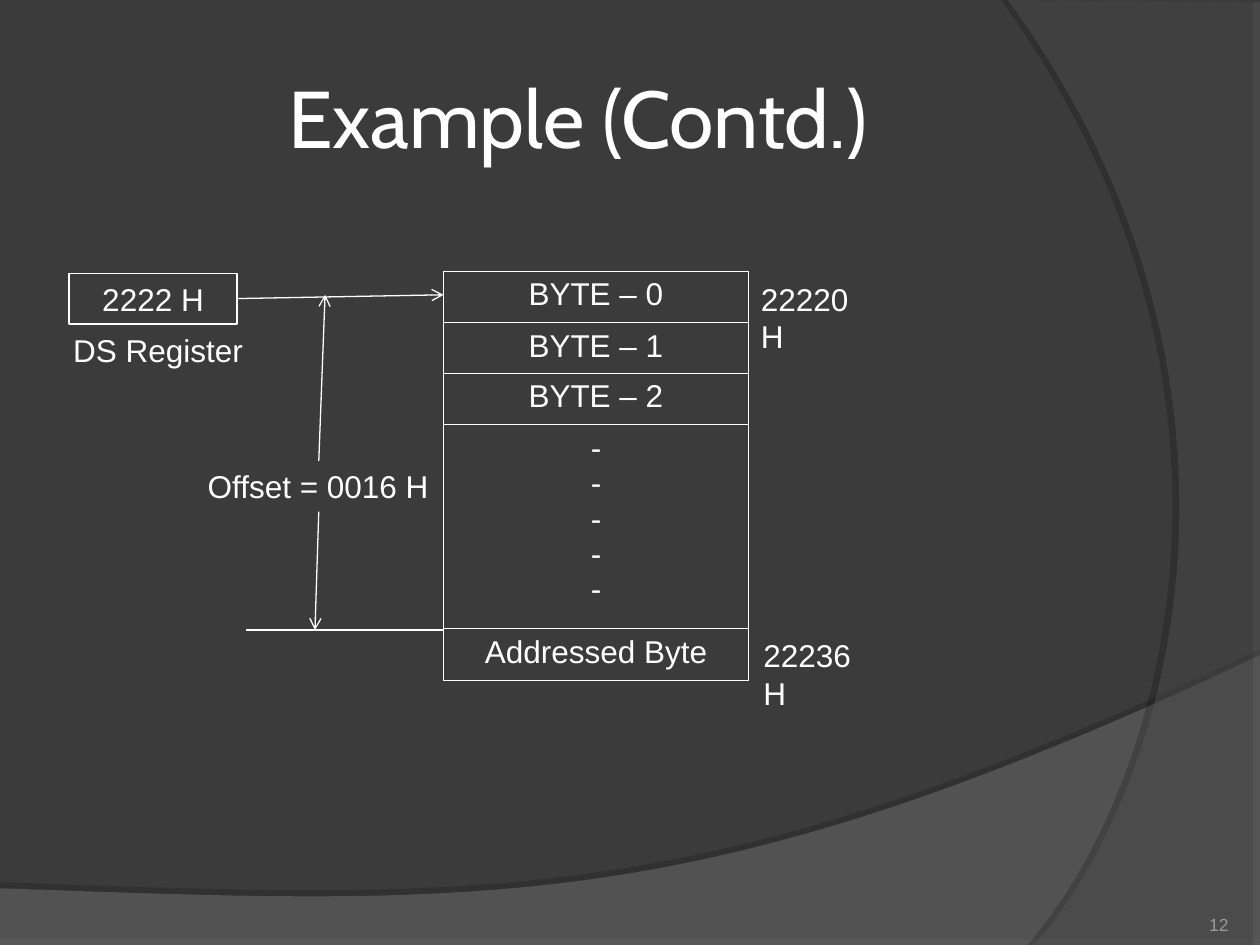
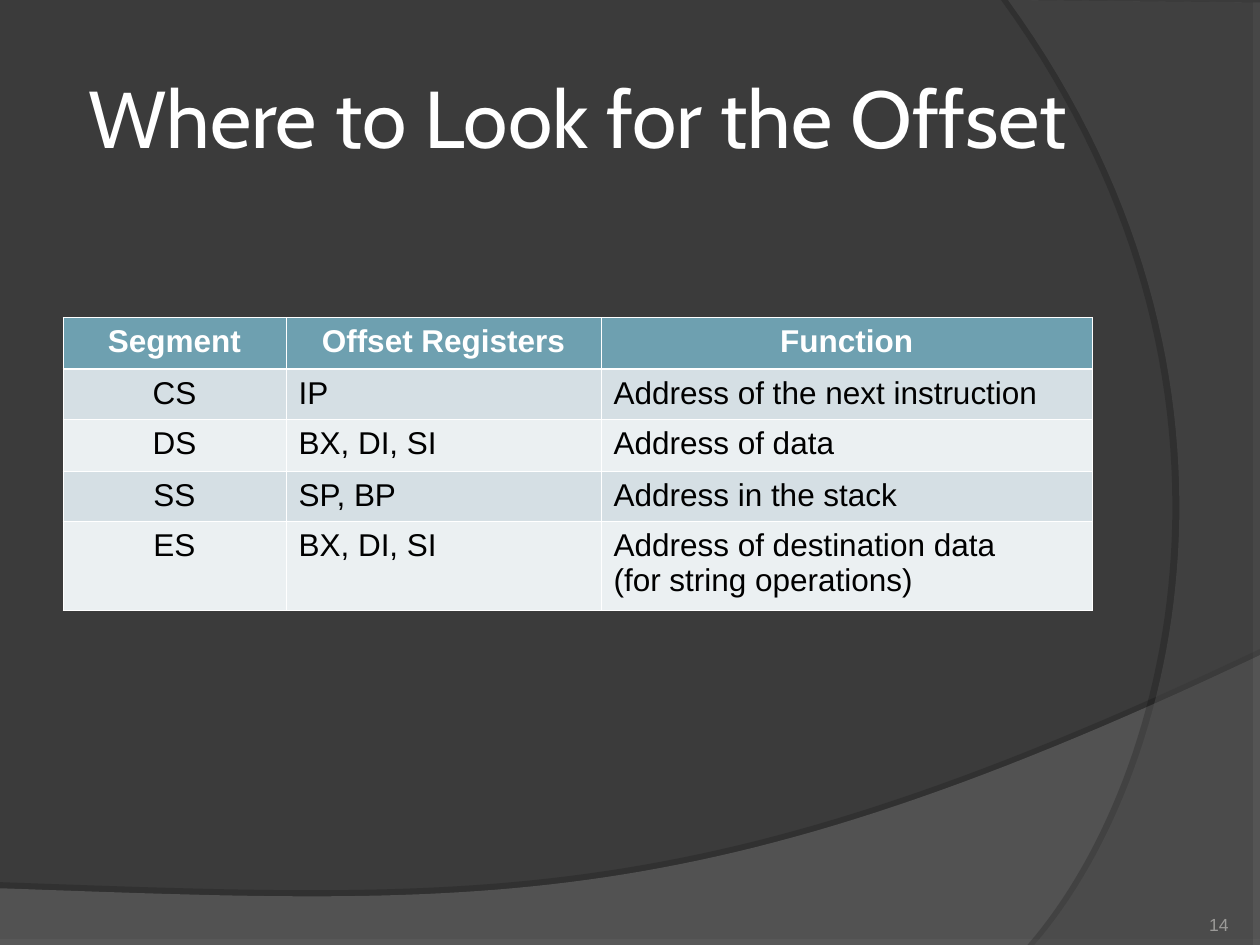
from lxml.etree import SubElement as Sub
from pptx import Presentation
from pptx.dml.color import RGBColor as Rgb
from pptx.enum.shapes import MSO_CONNECTOR as Link, MSO_SHAPE as Kind
from pptx.enum.text import MSO_ANCHOR as Anchor, PP_ALIGN as Align
from pptx.oxml import parse_xml
from pptx.oxml.ns import nsdecls, qn
from pptx.util import Inches, Pt

HUES = {
    "back": "3B3B3B", "wave": "7C7C7C", "arc": "595959", "shade": "000000",
    "white": "FFFFFF", "black": "000000", "page": "9B9A98",
    "head": "6EA0B0", "odd": "D5DFE4", "even": "EBF0F2",
}


def hue(name):
    """Return the named colour."""
    return Rgb.from_string(HUES[name])


def write(frame, text, size=18, font="Arial", color="white", bold=False,
          align=Align.LEFT, anchor=Anchor.TOP, pad=(0.1, 0.05), wrap=True):
    """Fill a text frame, one paragraph for each line of text."""
    frame.word_wrap = wrap
    frame.vertical_anchor = anchor
    frame.margin_left = frame.margin_right = Inches(pad[0])
    frame.margin_top = frame.margin_bottom = Inches(pad[1])
    for i, line in enumerate(text.split("\n")):
        para = frame.add_paragraph() if i else frame.paragraphs[0]
        para.alignment = align
        run = para.add_run()
        run.text = line
        run.font.size, run.font.name, run.font.bold = Pt(size), font, bold
        run.font.color.rgb = hue(color)


def label(slide, text, box, **look):
    """Add a text box and return it."""
    shape = slide.shapes.add_textbox(*map(Inches, box))
    write(shape.text_frame, text, **look)
    return shape


def curve(start, ctrl1, ctrl2, end, steps=60):
    """List the points of a cubic curve."""
    points = []
    for i in range(steps + 1):
        t = i / steps
        parts = ((1 - t) ** 3, 3 * t * (1 - t) ** 2, 3 * t * t * (1 - t), t ** 3)
        points.append(tuple(
            sum(k * p[axis] for k, p in zip(parts, (start, ctrl1, ctrl2, end)))
            for axis in (0, 1)))
    return points


def swoosh(slide, points, color, alpha, shade, dist, angle):
    """Draw a see-through outline that casts a hard shadow."""
    spots = [(Inches(x), Inches(y)) for x, y in points]
    pen = slide.shapes.build_freeform(*spots[0], scale=1.0)
    pen.add_line_segments(spots[1:], close=True)
    shape = pen.convert_to_shape()
    shape.fill.solid()
    shape.fill.fore_color.rgb = hue(color)
    shape.line.fill.background()
    shape.shadow.inherit = False
    props = shape.element.spPr
    tint = props.find(qn("a:solidFill")).find(qn("a:srgbClr"))
    Sub(tint, qn("a:alpha"), val=str(alpha * 1000))
    cast = Sub(props.find(qn("a:effectLst")), qn("a:outerShdw"), blurRad="0",
               dist=str(Pt(dist)), dir=str(angle * 60000), algn="ctr", rotWithShape="0")
    tint = Sub(cast, qn("a:srgbClr"), val=HUES["shade"])
    Sub(tint, qn("a:alpha"), val=str(shade * 1000))


def scene(slide, box):
    """Paint the background and its two curved bands."""
    x, y, w, h = box
    right, low = x + w, y + h
    slide.background.fill.solid()
    slide.background.fill.fore_color.rgb = hue("back")
    wave = curve((right, y + 5.2), (x + 5.59, y + 7.29), (x + 3.91, y + 7.19), (x, y + 7.05))
    swoosh(slide, [(x, low), (right, low)] + wave, "wave", 45, 35, 3.5, 270)
    arc = curve((x + 8.21, low), (x + 9.35, y + 6.19), (x + 10.18, y + 3), (x + 8, y))
    swoosh(slide, [(right, y + 0.02), (right, low)] + arc, "arc", 40, 45, 4, 180)


def start(deck, title, page):
    """Add a slide with its scene, title and page number."""
    slide = deck.slides.add_slide(deck.slide_layouts[6])
    scene(slide, (0, 0, 10, 7.5))
    label(slide, title, (0.5, 0.3, 8.17, 1.25), size=46, font="Cabin",
          align=Align.CENTER, anchor=Anchor.MIDDLE, pad=(0.05, 0.05))
    label(slide, page, (8.92, 7.02, 0.83, 0.4), size=10, color="page",
          align=Align.RIGHT, anchor=Anchor.BOTTOM, pad=(0, 0))
    return slide


def edge(cell, top=0.45, low=0.45):
    """Draw white borders round a cell."""
    props = cell._tc.get_or_add_tcPr()
    for i, (side, width) in enumerate((("L", 0.45), ("R", 0.45), ("T", top), ("B", low))):
        props.insert(i, parse_xml(
            f'<a:ln{side} {nsdecls("a")} w="{Pt(width)}"><a:solidFill>'
            f'<a:srgbClr val="{HUES["white"]}"/></a:solidFill></a:ln{side}>'))


def grid(slide, spot, cols, rows, data, head=False):
    """Add a table, either clear or with a header and banded rows."""
    box = (*spot, sum(cols), sum(rows))
    table = slide.shapes.add_table(len(rows), len(cols), *map(Inches, box)).table
    table.first_row = head
    table.horz_banding = False
    for col, width in zip(table.columns, cols):
        col.width = Inches(width)
    for r, (row, tall) in enumerate(zip(table.rows, rows)):
        row.height = Inches(tall)
        top = head and r == 0
        for c, cell in enumerate(row.cells):
            write(cell.text_frame, data[r][c], bold=top,
                  color="black" if head and r else "white",
                  align=Align.CENTER if top or c == 0 else Align.LEFT)
            if head:
                cell.fill.solid()
                cell.fill.fore_color.rgb = hue("head" if top else "odd" if r % 2 else "even")
            else:
                cell.fill.background()
            edge(cell, 1.47 if head and r == 1 else 0.45, 1.47 if top else 0.45)


def link(slide, tail, tip, arrow=True):
    """Draw a thin white line, with an arrowhead if wanted."""
    line = slide.shapes.add_connector(Link.STRAIGHT, *map(Inches, tail + tip))
    line.line.color.rgb = hue("white")
    line.line.width = Pt(0.75)
    props = line._element.spPr
    if arrow:
        Sub(props.find(qn("a:ln")), qn("a:tailEnd"), type="arrow")
    Sub(props, qn("a:effectLst"))
    return line


def memory(slide, box):
    """Draw the memory map with its register, offset and addresses."""
    x, y, w, h = box
    right = x + w
    base = y + h - 0.39
    cells = ["BYTE – 0", "BYTE – 1", "BYTE – 2", "\n".join("-" * 5), "Addressed Byte"]
    grid(slide, (x, y), [w], [0.41, 0.4, 0.41, 1.62, 0.41], [[text] for text in cells])
    reg = slide.shapes.add_shape(
        Kind.RECTANGLE, *map(Inches, (x - 2.97, y + 0.02, 1.33, 0.4)))
    reg.shadow.inherit = False
    reg.fill.background()
    reg.line.color.rgb = hue("white")
    reg.line.width = Pt(1)
    write(reg.text_frame, "2222 H", align=Align.CENTER)
    label(slide, "DS Register", (x - 3.04, y + 0.43, 1.55, 0.4),
          align=Align.CENTER, wrap=False)
    link(slide, (x - 1.64, y + 0.22), (x, y + 0.19)).begin_connect(reg, 3)
    gap = label(slide, "Offset = 0016 H", (x - 1.97, y + 1.51, 1.96, 0.4), wrap=False)
    link(slide, (x - 0.99, y + 1.51), (x - 0.94, y + 0.19)).begin_connect(gap, 0)
    link(slide, (x - 0.99, y + 1.91), (x - 1.02, base)).begin_connect(gap, 2)
    link(slide, (x, base), (x - 1.57, base), arrow=False)
    label(slide, "22220 H", (right, y + 0.02, 1.14, 0.4), wrap=False)
    label(slide, "22236 H", (right + 0.02, base, 1.14, 0.4), wrap=False)


def main():
    """Build and save both slides."""
    deck = Presentation()
    deck.slide_width, deck.slide_height = Inches(10), Inches(7.5)
    memory(start(deck, "Example (Contd.)", "12"), (3.52, 2.15, 2.42, 3.24))
    slide = start(deck, "Where to Look for the Offset", "14")
    grid(slide, (0.5, 2.52), [1.77, 2.5, 3.9], [0.41, 0.4, 0.41, 0.4, 0.7], [
        ("Segment", "Offset Registers", "Function"),
        ("CS", "IP", "Address of the next instruction"),
        ("DS", "BX, DI, SI", "Address of data"),
        ("SS", "SP, BP", "Address in the stack"),
        ("ES", "BX, DI, SI", "Address of destination data\n(for string operations)"),
    ], head=True)
    deck.save("out.pptx")


if __name__ == "__main__":
    main()
